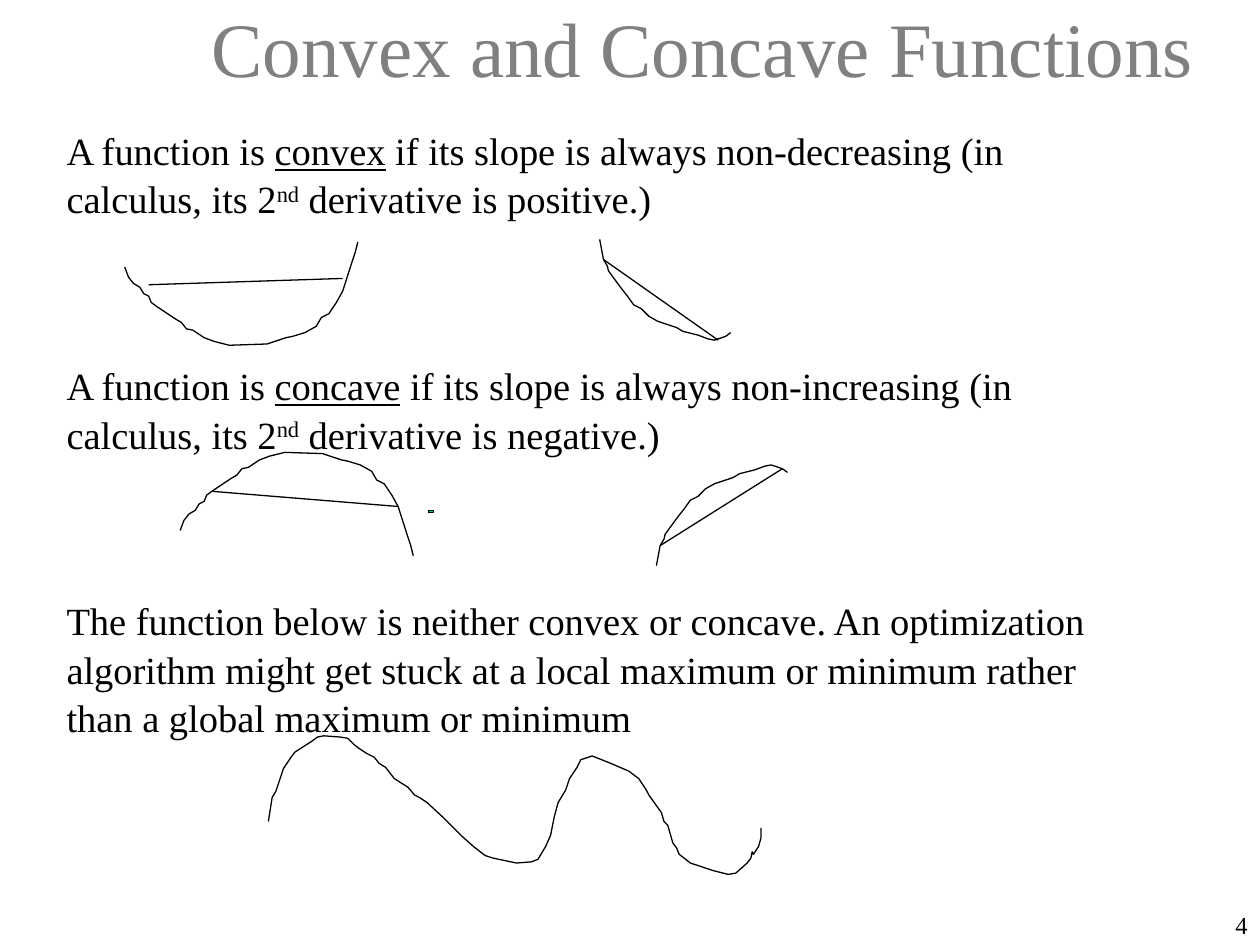
from lxml import etree
from pptx import Presentation
from pptx.dml.color import RGBColor
from pptx.enum import shapes, text
from pptx.oxml import ns
from pptx.util import Inches, Pt

FONT = "Times New Roman"
BLACK, GRAY, GREEN = "000000", "808080", "00CC99"

# Curve points are in hundredths of an inch.
BOWL = [(99, 212), (102, 220), (106, 225), (111, 228), (114, 233), (118, 235),
        (120, 240), (124, 243), (139, 253), (144, 256), (148, 261), (153, 262),
        (162, 268), (170, 271), (182, 274), (212, 273), (218, 271), (227, 268),
        (232, 267), (242, 264), (251, 259), (255, 252), (261, 249), (267, 240),
        (272, 231), (279, 209), (282, 200), (284, 192)]
FALLING = [(476, 190), (479, 206), (482, 211), (483, 215), (491, 226),
           (494, 230), (498, 235), (503, 242), (509, 245), (515, 251),
           (522, 255), (537, 260), (542, 263), (554, 266), (562, 269),
           (567, 270), (576, 267), (580, 264)]
WAVE = [(213, 652), (216, 633), (219, 628), (222, 619), (225, 610), (231, 601),
        (234, 597), (248, 588), (252, 585), (257, 584), (270, 585), (276, 586),
        (281, 591), (285, 594), (291, 598), (297, 601), (301, 606), (306, 609),
        (313, 618), (324, 625), (329, 631), (333, 633), (339, 637), (352, 649),
        (360, 657), (367, 664), (376, 672), (385, 679), (391, 681), (410, 685),
        (422, 684), (427, 682), (433, 672), (437, 663), (440, 648), (443, 637),
        (449, 627), (452, 618), (458, 609), (461, 603), (470, 600), (485, 606),
        (499, 612), (507, 618), (513, 627), (515, 631), (525, 645), (527, 652),
        (530, 655), (534, 669), (537, 673), (539, 678), (548, 685), (557, 688),
        (566, 691), (578, 694), (584, 693), (593, 685), (596, 681), (597, 676),
        (598, 678), (602, 672), (604, 665), (604, 657)]
MARK = [(344, 407), (340, 407), (340, 405), (344, 405)]

CHORDS = [(1.18, 2.26, 2.72, 2.21), (4.79, 2.06, 5.7, 2.7),
          (1.69, 3.9, 3.16, 4.02), (5.24, 4.33, 6.21, 3.72)]


def definition(term, slope, sign):
    """Runs of one definition as (words, style)."""
    return [("A function is ", ""), (term, "underline"),
            (f" if its slope is always {slope} (in calculus, its 2", ""),
            ("nd", "superscript"), (f" derivative is {sign}.)", "")]


STATEMENTS = [
    definition("convex", "non-decreasing", "positive"),
    definition("concave", "non-increasing", "negative"),
    [("The function below is neither convex or concave. An optimization "
      "algorithm might get stuck at a local maximum or minimum rather than "
      "a global maximum or minimum", "")],
]


def color(value):
    return RGBColor.from_string(value)


def format_run(r, size, value):
    r.font.name = FONT
    r.font.size = Pt(size)
    r.font.color.rgb = color(value)


def add_text_box(slide, left, top, width, height):
    tf = slide.shapes.add_textbox(Inches(left), Inches(top),
                                  Inches(width), Inches(height)).text_frame
    tf.word_wrap = True
    return tf


def add_label(slide, box, words, size, value, align=text.PP_ALIGN.LEFT,
              anchor=text.MSO_ANCHOR.TOP):
    tf = add_text_box(slide, *box)
    tf.text = words
    tf.vertical_anchor = anchor
    p = tf.paragraphs[0]
    p.alignment = align
    format_run(p.runs[0], size, value)


def add_statements(slide):
    tf = add_text_box(slide, 0.43, 0.94, 8.76, 6.07)
    for i, runs in enumerate(STATEMENTS):
        p = tf.add_paragraph() if i else tf.paragraphs[0]
        p.line_spacing = 1.05
        if i:
            p.space_before = Pt(79)
        for words, style in runs:
            r = p.add_run()
            r.text = words
            format_run(r, 22, BLACK)
            if style == "underline":
                r.font.underline = True
            elif style == "superscript":
                r.font._element.set("baseline", "30000")


def flip(points, shift, total):
    """Mirror a curve top to bottom and move it right."""
    return [(x + shift, total - y) for x, y in points]


def add_curve(slide, points, fill=None):
    builder = slide.shapes.build_freeform(*points[0], scale=Inches(0.01))
    builder.add_line_segments(points[1:], close=fill is not None)
    sp = builder.convert_to_shape()
    sp.shadow.inherit = False
    if fill:
        sp.fill.solid()
        sp.fill.fore_color.rgb = color(fill)
    else:
        sp.fill.background()
    sp.line.color.rgb = color(BLACK)
    sp.line.width = Pt(0.75)


def add_chord(slide, ends):
    line = slide.shapes.add_connector(shapes.MSO_CONNECTOR.STRAIGHT,
                                      *(Inches(v) for v in ends))
    line.line.color.rgb = color(BLACK)
    line.line.width = Pt(0.75)
    etree.SubElement(line._element.spPr, ns.qn("a:effectLst"))


def main():
    prs = Presentation()
    prs.slide_width, prs.slide_height = Inches(10), Inches(7.5)
    slide = prs.slides.add_slide(prs.slide_layouts[6])

    add_label(slide, (1.58, 0.08, 8.42, 0.58), "Convex and Concave Functions",
              44, GRAY, anchor=text.MSO_ANCHOR.MIDDLE)
    add_label(slide, (8.58, 7.17, 1.42, 0.33), "4", 14, BLACK,
              align=text.PP_ALIGN.RIGHT)
    add_statements(slide)

    add_curve(slide, MARK, GREEN)
    for points in (flip(BOWL, 44, 633), flip(FALLING, 45, 639),
                   BOWL, FALLING, WAVE):
        add_curve(slide, points)
    for ends in CHORDS:
        add_chord(slide, ends)

    prs.save("out.pptx")


if __name__ == "__main__":
    main()
